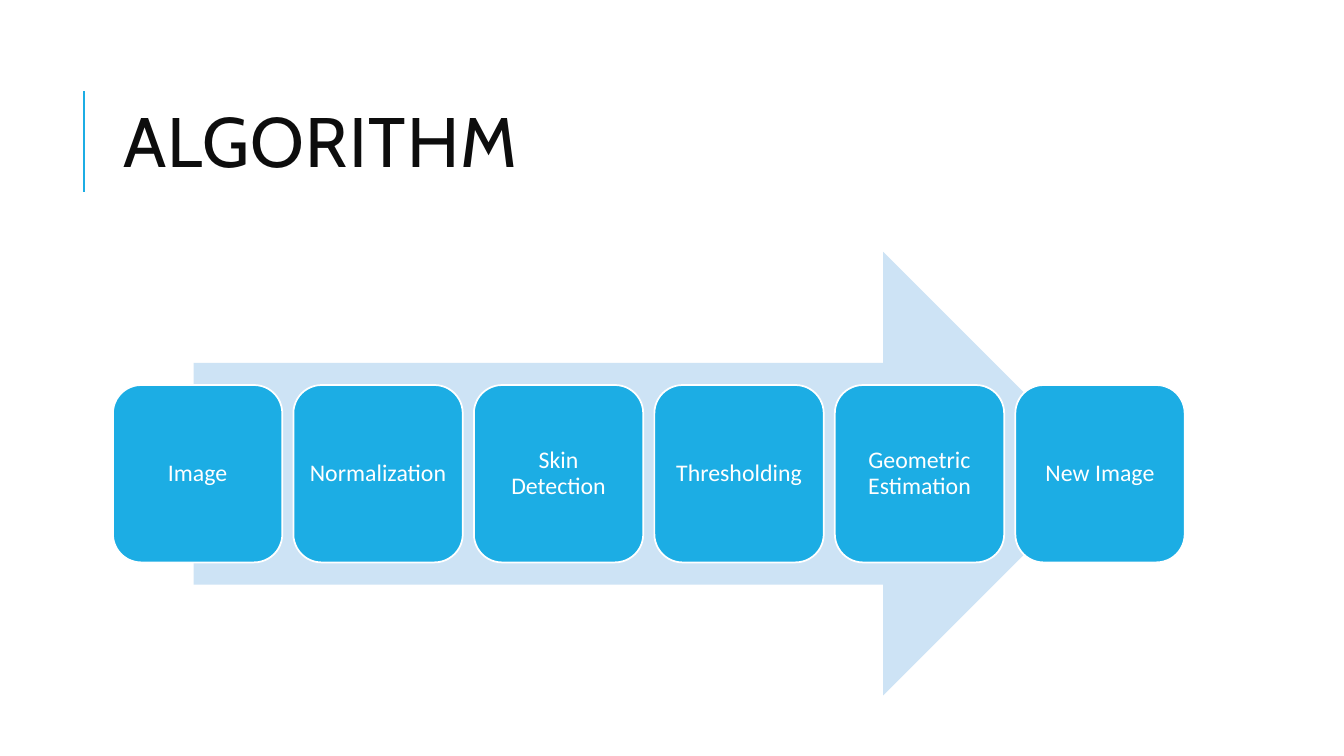
from dataclasses import dataclass

from lxml.etree import SubElement
from pptx import Presentation
from pptx.dml.color import RGBColor
from pptx.enum.shapes import MSO_CONNECTOR, MSO_SHAPE
from pptx.enum.text import MSO_ANCHOR, MSO_AUTO_SIZE, PP_ALIGN
from pptx.oxml.ns import qn
from pptx.shapes.autoshape import Shape
from pptx.shapes.shapetree import GroupShapes
from pptx.slide import Slide
from pptx.util import Inches, Pt


@dataclass(frozen=True)
class Theme:
    accent: RGBColor = RGBColor(0x1C, 0xAD, 0xE4)
    pale: RGBColor = RGBColor(0xCD, 0xE3, 0xF5)
    ink: RGBColor = RGBColor(0x0D, 0x0D, 0x0D)
    white: RGBColor = RGBColor(0xFF, 0xFF, 0xFF)
    title_font: str = "Cabin"
    body_font: str = "Calibri"
    title_size: Pt = Pt(50)
    step_size: Pt = Pt(17)


@dataclass(frozen=True)
class Step:
    label: str
    left: float


THEME = Theme()
LEFT = 1.12
STEP_PITCH = 1.79
STEP_TOP, STEP_WIDTH, STEP_HEIGHT = 3.82, 1.68, 1.76
STEP_INSET = Inches(0.07)
LABELS = ("Image", "Normalization", "Skin Detection",
          "Thresholding", "Geometric Estimation", "New Image")
STEPS = [Step(label, LEFT + index * STEP_PITCH) for index, label in enumerate(LABELS)]


def write_text(shape: Shape, text: str, font: str, size: Pt, color: RGBColor,
               align: PP_ALIGN, line_spacing: float, tracking: int = 0) -> None:
    """Write one vertically centred paragraph; tracking is in hundredths of a point."""
    frame = shape.text_frame
    frame.word_wrap = True
    frame.auto_size = MSO_AUTO_SIZE.NONE
    frame.vertical_anchor = MSO_ANCHOR.MIDDLE
    para = frame.paragraphs[0]
    para.alignment = align
    para.line_spacing = line_spacing
    span = para.add_run()
    span.text = text
    span.font.name = font
    span.font.size = size
    span.font.color.rgb = color
    if tracking:
        span.font._element.set("spc", str(tracking))


def add_title(page: Slide) -> None:
    title = page.shapes.title
    title.left, title.top = Inches(LEFT), Inches(0.64)
    title.width, title.height = Inches(10.63), Inches(1.64)
    write_text(title, "ALGORITHM", THEME.title_font, THEME.title_size, THEME.ink,
               PP_ALIGN.LEFT, 0.8, tracking=100)


def add_title_rule(page: Slide) -> None:
    rule = page.shapes.add_connector(MSO_CONNECTOR.STRAIGHT, Inches(0.83), Inches(1.9),
                                     Inches(0.83), Inches(0.9))
    rule.line.color.rgb = THEME.accent
    rule.line.width = Pt(1.5)
    SubElement(rule._element.spPr, qn("a:effectLst"))


def add_arrow(shapes: GroupShapes) -> None:
    arrow = shapes.add_shape(MSO_SHAPE.RIGHT_ARROW, Inches(1.92), Inches(2.5),
                             Inches(9.04), Inches(4.4))
    arrow.shadow.inherit = False
    arrow.fill.solid()
    arrow.fill.fore_color.rgb = THEME.pale
    arrow.line.fill.background()


def add_step(shapes: GroupShapes, step: Step) -> None:
    box = shapes.add_shape(MSO_SHAPE.ROUNDED_RECTANGLE, Inches(step.left), Inches(STEP_TOP),
                           Inches(STEP_WIDTH), Inches(STEP_HEIGHT))
    box.shadow.inherit = False
    box.fill.solid()
    box.fill.fore_color.rgb = THEME.accent
    box.line.color.rgb = THEME.white
    box.line.width = Pt(1.25)
    frame = box.text_frame
    frame.margin_left = frame.margin_right = STEP_INSET
    frame.margin_top = frame.margin_bottom = STEP_INSET
    write_text(box, step.label, THEME.body_font, THEME.step_size, THEME.white,
               PP_ALIGN.CENTER, 0.9)


def main() -> None:
    deck = Presentation()
    deck.slide_width, deck.slide_height = Inches(13.33), Inches(7.5)
    title_only = deck.slide_layouts[5]
    page = deck.slides.add_slide(title_only)
    add_title_rule(page)
    add_title(page)
    process = page.shapes.add_group_shape().shapes
    add_arrow(process)
    for step in STEPS:
        add_step(process, step)
    deck.save("out.pptx")


if __name__ == "__main__":
    main()
